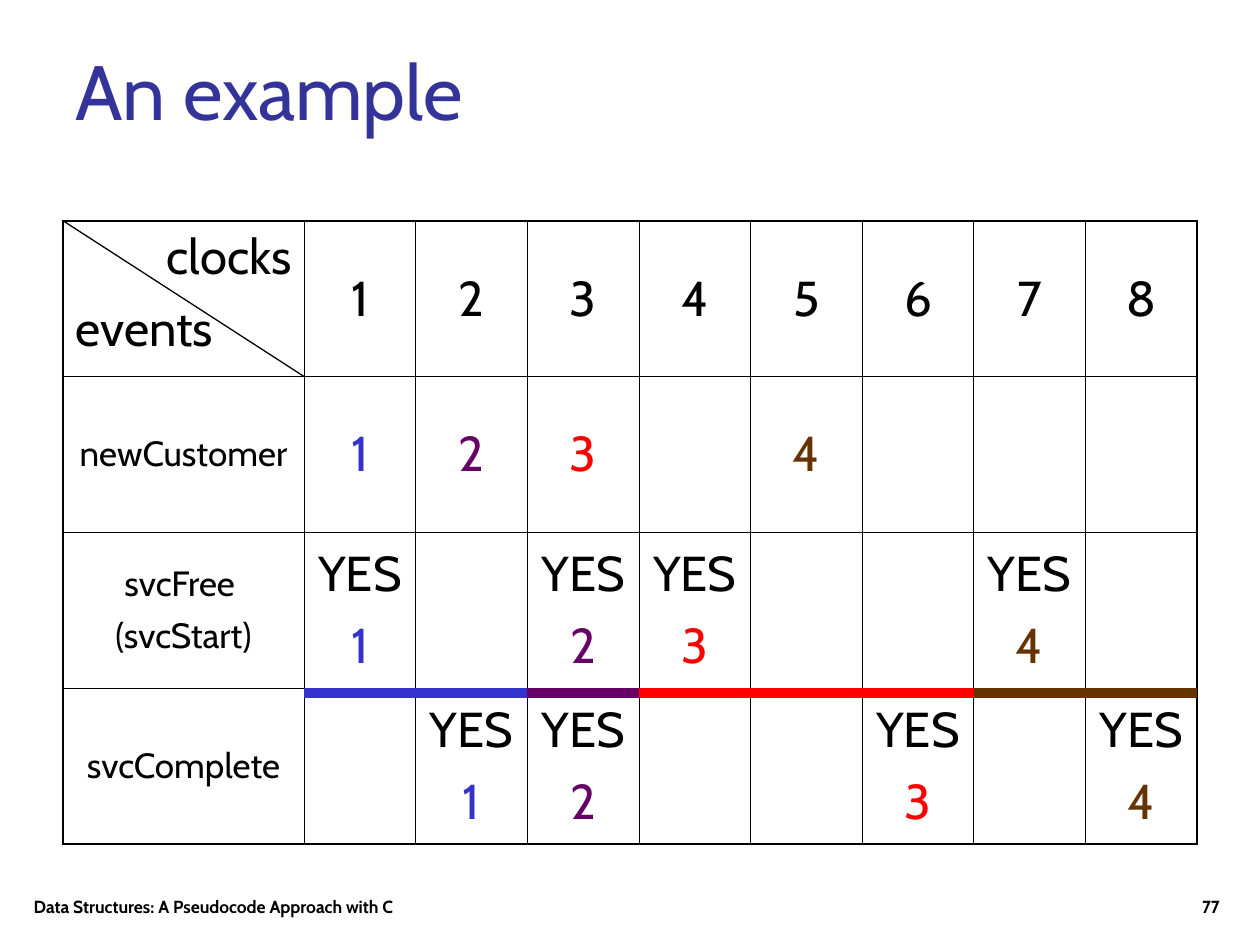
"""Build a slide tracing a queue simulation's events over eight clock ticks."""
from lxml import etree
from pptx import Presentation
from pptx import util as u
from pptx.dml.color import RGBColor
from pptx.enum import shapes, text
from pptx.oxml import ns

BLACK = RGBColor(0x00, 0x00, 0x00)
TITLE_BLUE = RGBColor(0x33, 0x33, 0x99)
BLUE = RGBColor(0x33, 0x33, 0xCC)
PURPLE = RGBColor(0x66, 0x00, 0x66)
RED = RGBColor(0xFF, 0x00, 0x00)
BROWN = RGBColor(0x66, 0x33, 0x00)
CUSTOMERS = {1: BLUE, 2: PURPLE, 3: RED, 4: BROWN}

LEFT, TOP = 1.27, 4.45
LABEL_WIDTH, CLOCK_WIDTH, ROW_HEIGHT = 4.86, 2.25, 3.14
CLOCKS = 8
EVENTS = [
    (["newCustomer"], [], {1: 1, 2: 2, 3: 3, 5: 4}),
    (["svcFree ", "(svcStart)"], ["YES"], {1: 1, 3: 2, 4: 3, 7: 4}),
    (["svcComplete"], ["YES"], {2: 1, 3: 2, 6: 3, 8: 4}),
]
SERVICE_SPANS = {1: (1, 2), 2: (3, 3), 3: (4, 6), 4: (7, 8)}

ALIGN = text.PP_ALIGN
ANCHOR = text.MSO_ANCHOR


class SlideBuilder:
    def __init__(self, slide, font_name):
        self.slide = slide
        self.font_name = font_name

    def set_lines(self, frame, lines, size, color=BLACK, align=ALIGN.LEFT, bold=False):
        for index, line in enumerate(lines):
            para = frame.add_paragraph() if index else frame.paragraphs[0]
            para.text = line
            para.alignment = align
            para.font.name = self.font_name
            para.font.size = u.Pt(size)
            para.font.color.rgb = color
            para.font.bold = bold
            if index:
                para.space_before = u.Pt(size / 4)

    def text_box(self, bounds, line, size, anchor=ANCHOR.TOP, **style):
        box = self.slide.shapes.add_textbox(*map(u.Cm, bounds))
        frame = box.text_frame
        frame.word_wrap = True
        frame.vertical_anchor = anchor
        self.set_lines(frame, [line], size, **style)

    def line(self, start, end, color, width):
        connector = self.slide.shapes.add_connector(
            shapes.MSO_CONNECTOR.STRAIGHT, *map(u.Cm, start + end))
        connector.line.color.rgb = color
        connector.line.width = u.Pt(width)
        etree.SubElement(connector._element.spPr, ns.qn("a:effectLst"))

    def grid(self, left, top, widths, heights):
        table = self.slide.shapes.add_table(
            len(heights), len(widths), u.Cm(left), u.Cm(top),
            u.Cm(sum(widths)), u.Cm(sum(heights))).table
        table.first_row = table.horz_banding = False
        for column, width in zip(table.columns, widths):
            column.width = u.Cm(width)
        for row, height in zip(table.rows, heights):
            row.height = u.Cm(height)
        last_row, last_column = len(heights) - 1, len(widths) - 1
        for r, row in enumerate(table.rows):
            for c, cell in enumerate(row.cells):
                self.borders(cell, {"lnL": c == 0, "lnR": c == last_column,
                                    "lnT": r == 0, "lnB": r == last_row})
                cell.fill.background()
                cell.vertical_anchor = ANCHOR.MIDDLE
        return table

    def borders(self, cell, outer_sides):
        properties = cell._tc.get_or_add_tcPr()
        for side, is_outer in outer_sides.items():
            width = u.Pt(1.08 if is_outer else 0.45)
            edge = etree.SubElement(properties, ns.qn(f"a:{side}"), w=str(width))
            fill = etree.SubElement(edge, ns.qn("a:solidFill"))
            etree.SubElement(fill, ns.qn("a:srgbClr"), val=str(BLACK))

    def event_table(self):
        table = self.grid(LEFT, TOP, [LABEL_WIDTH] + [CLOCK_WIDTH] * CLOCKS,
                          [ROW_HEIGHT] * (len(EVENTS) + 1))
        corner = table.cell(0, 0)
        corner.vertical_anchor = ANCHOR.TOP
        self.set_lines(corner.text_frame, ["clocks", "events"], 28)
        corner.text_frame.paragraphs[0].alignment = ALIGN.RIGHT
        for clock in range(1, CLOCKS + 1):
            self.set_lines(table.cell(0, clock).text_frame, [str(clock)], 28,
                           align=ALIGN.CENTER)
        for row, (label, flag, served) in enumerate(EVENTS, 1):
            self.set_lines(table.cell(row, 0).text_frame, label, 20, align=ALIGN.CENTER)
            for clock, customer in served.items():
                frame = table.cell(row, clock).text_frame
                self.set_lines(frame, flag + [str(customer)], 28, align=ALIGN.CENTER)
                frame.paragraphs[-1].font.color.rgb = CUSTOMERS[customer]


def clock_edge(clock):
    return LEFT + LABEL_WIDTH + clock * CLOCK_WIDTH


def main():
    deck = Presentation()
    deck.slide_width, deck.slide_height = u.Cm(25.4), u.Cm(19.05)
    page = SlideBuilder(deck.slides.add_slide(deck.slide_layouts[6]), "Cabin")

    page.text_box((1.27, 0.76, 22.86, 3.18), "An example", 44, color=TITLE_BLUE)
    page.event_table()
    page.line((LEFT, TOP), (clock_edge(0), TOP + ROW_HEIGHT), BLACK, 0.75)
    service_y = 13.97
    for customer, (first, last) in SERVICE_SPANS.items():
        page.line((clock_edge(first - 1), service_y), (clock_edge(last), service_y),
                  CUSTOMERS[customer], 6)

    page.text_box((0.43, 17.35, 13.34, 1.27),
                  "Data Structures: A Pseudocode Approach with C", 10,
                  anchor=ANCHOR.BOTTOM, bold=True)
    page.text_box((19.56, 17.35, 5.28, 1.27), "77", 10,
                  anchor=ANCHOR.BOTTOM, bold=True, align=ALIGN.RIGHT)
    deck.save("out.pptx")


if __name__ == "__main__":
    main()
